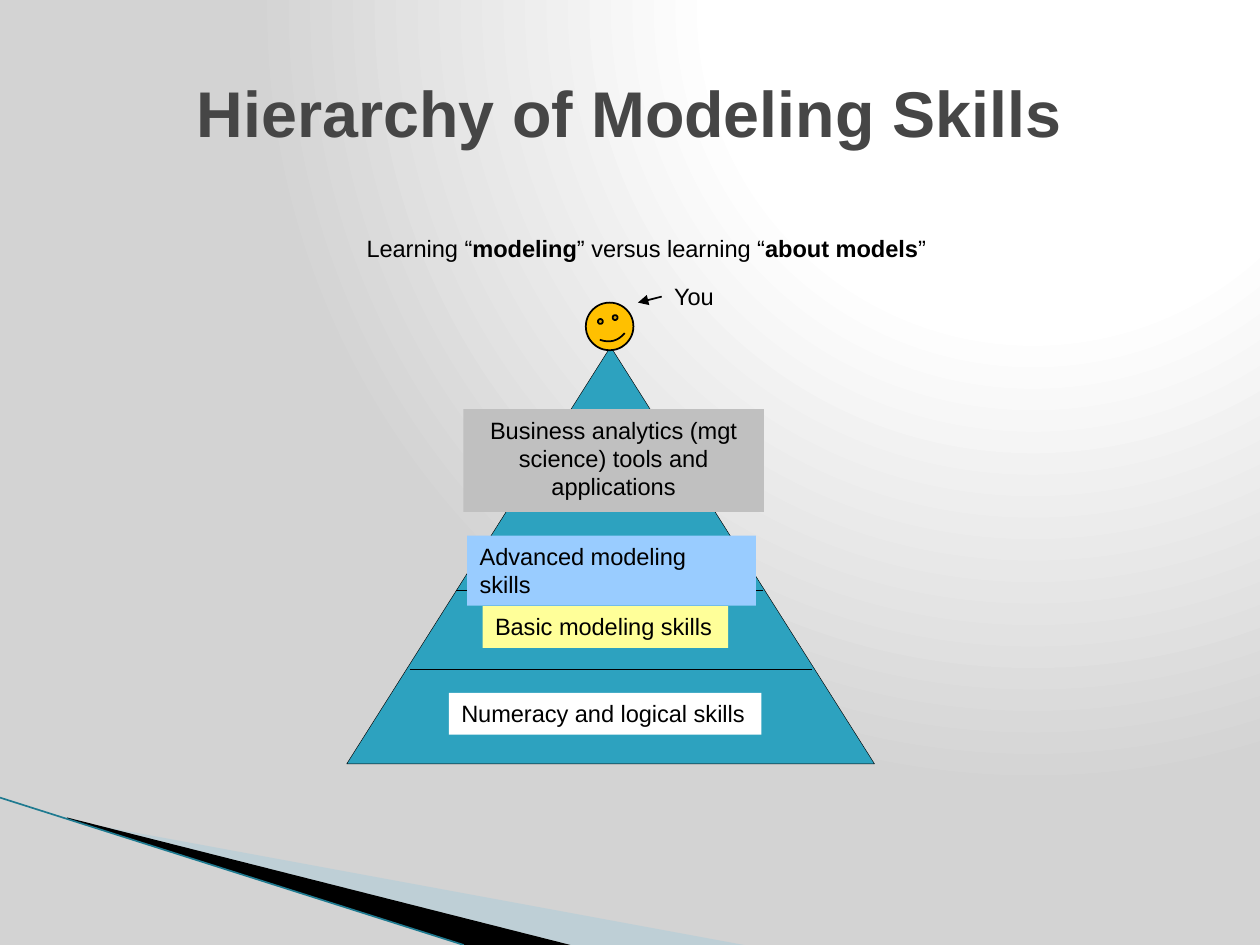
from dataclasses import dataclass

import pptx
import pptx.dml.color
import pptx.enum.shapes
import pptx.enum.text
import pptx.oxml
import pptx.oxml.ns
import pptx.util
from lxml import etree

Cm, Pt = pptx.util.Cm, pptx.util.Pt
Kind = pptx.enum.shapes.MSO_SHAPE
Align = pptx.enum.text.PP_ALIGN
Anchor = pptx.enum.text.MSO_ANCHOR
qn = pptx.oxml.ns.qn

BLACK = "000000"
WIDE, HIGH = 25.4, 19.05
Point = tuple[float, float]


@dataclass
class Box:
    left: float
    top: float
    width: float
    height: float

    def place(self) -> list[int]:
        return [Cm(v) for v in (self.left, self.top, self.width, self.height)]


@dataclass
class Label:
    text: str
    box: Box
    fill: str
    wrap: bool = False
    align: Align = Align.LEFT


@dataclass
class Rule:
    start: Point
    end: Point
    color: str = BLACK
    weight: float = 0.75


@dataclass
class Wedge:
    points: list[Point]
    color: str
    alpha: int = 100


WEDGES = [
    Wedge([(1.4, 16.54), (15, HIGH), (11.5, HIGH), (1.4, 16.51)], "A0CBDC", 40),
    Wedge([(1.35, 16.48), (11.5, HIGH), (9.35, HIGH), (1.37, 16.51)], BLACK),
]
EDGE = Rule((0, 16.08), (9.35, HIGH), "1F7A90", 0.95)
TIERS = [
    Rule((8.26, 13.49), (16.36, 13.49)),
    Rule((9.19, 11.91), (15.39, 11.91)),
    Rule((10.16, 10.31), (14.45, 10.31)),
]
LABELS = [
    Label("Numeracy and logical skills", Box(9.05, 13.97, 6.3, 0.84), "FFFFFF"),
    Label("Basic modeling skills", Box(9.73, 12.22, 4.95, 0.84), "FFFF99"),
    Label("Advanced modeling skills", Box(9.42, 10.8, 5.82, 1.41), "99CCFF", True),
    Label("Business analytics (mgt science) tools and applications",
          Box(9.34, 8.25, 6.06, 2.07), "C0C0C0", True, Align.CENTER),
]
CAPTION = [("Learning “", False), ("modeling", True), ("” versus learning “", False),
           ("about models", True), ("”", False)]


def rgb(code: str) -> pptx.dml.color.RGBColor:
    return pptx.dml.color.RGBColor.from_string(code)


def paint(shape, fill: str, weight: float = 0) -> None:
    """Fill a shape, with a black outline if weight is given."""
    shape.shadow.inherit = False
    shape.fill.solid()
    shape.fill.fore_color.rgb = rgb(fill)
    if weight:
        shape.line.color.rgb = rgb(BLACK)
        shape.line.width = Pt(weight)
    else:
        shape.line.fill.background()


def style(frame, wrap: bool, align: Align = Align.LEFT) -> None:
    frame.word_wrap = wrap
    frame.vertical_anchor = Anchor.TOP
    para = frame.paragraphs[0]
    para.alignment = align
    para.font.name = "Arial"
    para.font.size = Pt(13.5)
    para.font.color.rgb = rgb(BLACK)


def backdrop(slide) -> None:
    """Give the slide a radial gradient centred near its upper right."""
    fill = slide.background.fill
    fill.solid()
    solid = slide.element.find(".//" + qn("p:bgPr") + "/" + qn("a:solidFill"))
    stops = "".join(
        f'<a:gs pos="{pos * 1000}"><a:srgbClr val="{color}"/></a:gs>'
        for pos, color in ((0, "FFFFFF"), (40, "FFFFFF"), (100, "D3D3D3")))
    grad = pptx.oxml.parse_xml(
        f'<a:gradFill {pptx.oxml.ns.nsdecls("a")} rotWithShape="1">'
        f'<a:gsLst>{stops}</a:gsLst><a:path path="circle">'
        '<a:fillToRect l="65000" t="0" r="0" b="98000"/></a:path></a:gradFill>')
    solid.getparent().replace(solid, grad)


def add_wedge(shapes, wedge: Wedge) -> None:
    points = [(Cm(x), Cm(y)) for x, y in wedge.points]
    maker = shapes.build_freeform(*points[0])
    maker.add_line_segments(points[1:], close=True)
    shape = maker.convert_to_shape()
    paint(shape, wedge.color)
    if wedge.alpha < 100:
        color = shape.element.spPr.find(qn("a:solidFill"))[0]
        etree.SubElement(color, qn("a:alpha"), val=str(wedge.alpha * 1000))


def add_rule(shapes, rule: Rule):
    line = shapes.add_connector(pptx.enum.shapes.MSO_CONNECTOR.STRAIGHT,
                                *[Cm(v) for v in rule.start + rule.end])
    line.line.color.rgb = rgb(rule.color)
    line.line.width = Pt(rule.weight)
    etree.SubElement(line.element.spPr, qn("a:effectLst"))
    return line


def add_label(shapes, label: Label) -> None:
    shape = shapes.add_shape(Kind.RECTANGLE, *label.box.place())
    paint(shape, label.fill)
    shape.text_frame.text = label.text
    style(shape.text_frame, label.wrap, label.align)


def add_title(slide) -> None:
    title = slide.shapes.title
    title.left, title.top, title.width, title.height = Box(3.71, 1.52, 18.82, 1.45).place()
    frame = title.text_frame
    frame.text = "Hierarchy of Modeling Skills"
    frame.auto_size = pptx.enum.text.MSO_AUTO_SIZE.NONE
    frame.vertical_anchor = Anchor.MIDDLE
    para = frame.paragraphs[0]
    para.alignment = Align.LEFT
    para.font.name = "Arial"
    para.font.size = Pt(36.9)
    para.font.bold = True
    para.font.color.rgb = rgb("464646")


def main() -> None:
    deck = pptx.Presentation()
    deck.slide_width, deck.slide_height = Cm(WIDE), Cm(HIGH)
    slide = deck.slides.add_slide(deck.slide_layouts.get_by_name("Title Only"))
    shapes = slide.shapes
    backdrop(slide)
    for wedge in WEDGES:
        add_wedge(shapes, wedge)
    add_rule(shapes, EDGE)
    add_title(slide)

    pyramid = shapes.add_shape(Kind.ISOSCELES_TRIANGLE, *Box(6.99, 6.99, 10.64, 8.41).place())
    paint(pyramid, "2DA2BF", 0.25)
    for tier in TIERS:
        add_rule(shapes, tier)
    for label in LABELS:
        add_label(shapes, label)

    caption = shapes.add_textbox(*Box(7.14, 4.6, 11.94, 0.84).place()).text_frame
    for text, bold in CAPTION:
        run = caption.paragraphs[0].add_run()
        run.text = text
        run.font.bold = bold
    style(caption, False)

    face = shapes.add_shape(Kind.SMILEY_FACE, *Box(11.81, 6.1, 0.96, 0.96).place())
    face.rotation = 345
    paint(face, "FFC000", 1)
    you = shapes.add_textbox(*Box(13.34, 5.56, 2.54, 0.84).place())
    you.text_frame.text = "You"
    style(you.text_frame, True)
    arrow = add_rule(shapes, Rule((13.34, 5.98), (12.86, 6.1), weight=1))
    arrow.begin_connect(you, 1)
    etree.SubElement(arrow.line._get_or_add_ln(), qn("a:tailEnd"), type="triangle")

    deck.save("out.pptx")


if __name__ == "__main__":
    main()
